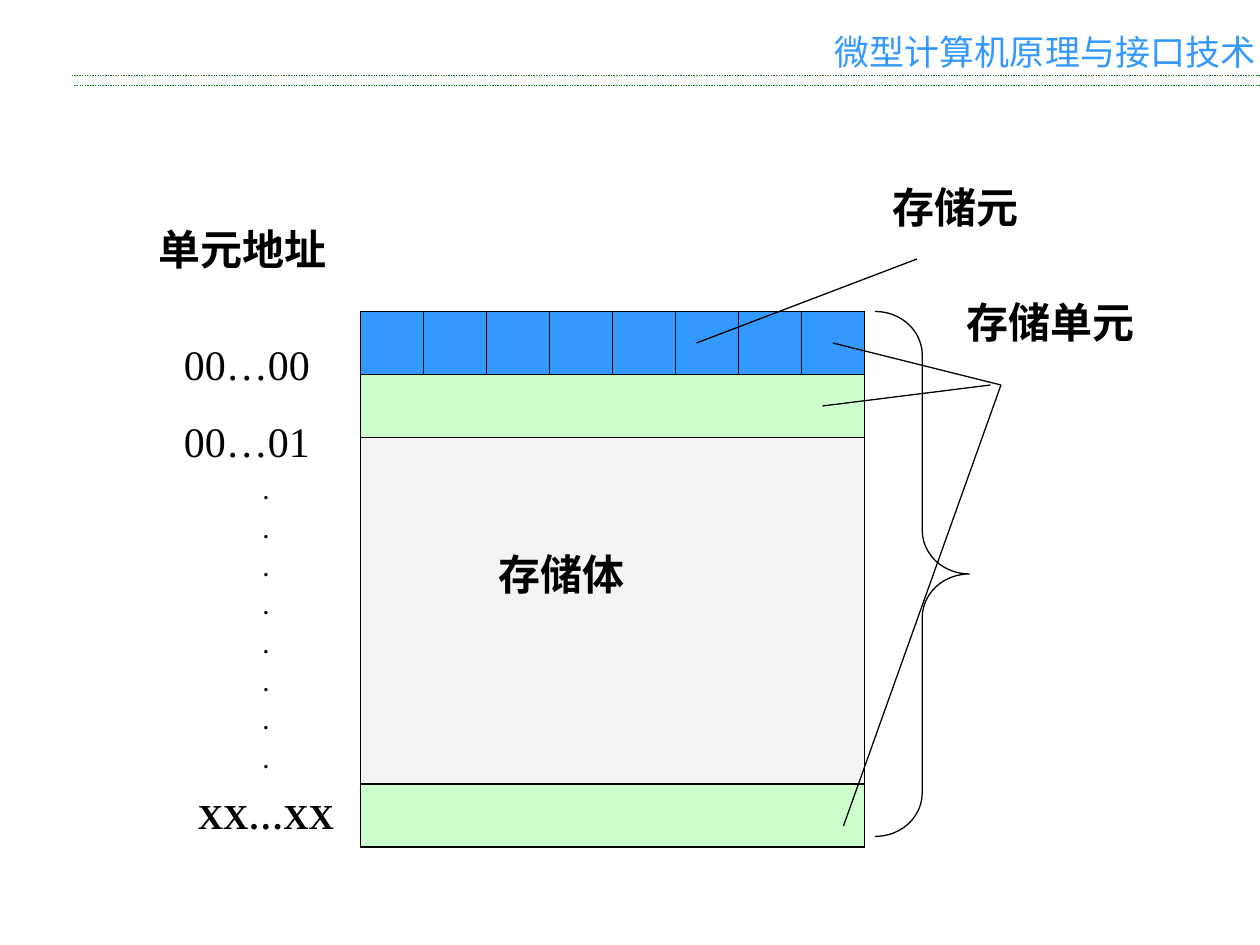
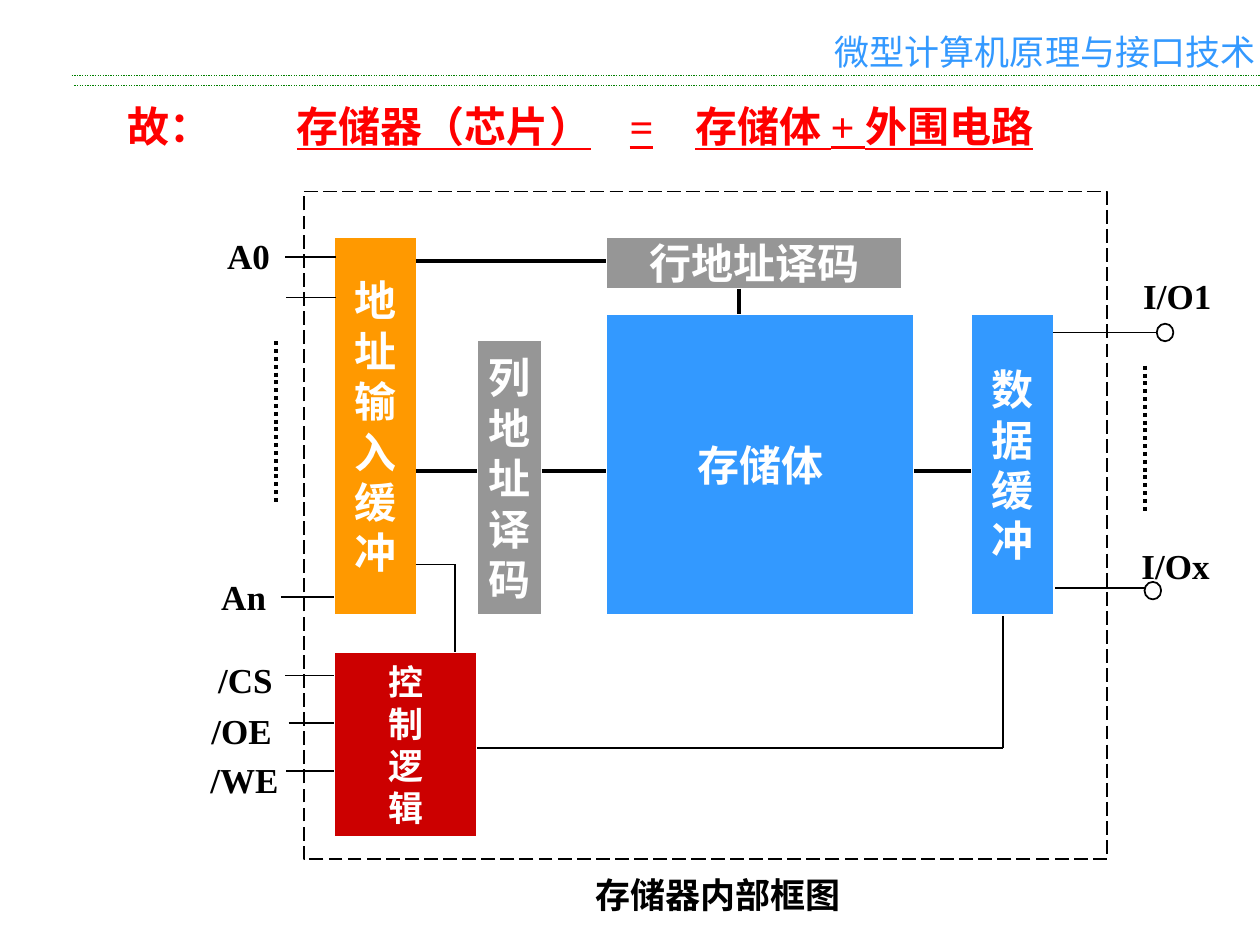
from pptx import Presentation
from pptx.dml.color import RGBColor
from pptx.enum.dml import MSO_LINE_DASH_STYLE as DASH
from pptx.enum.shapes import MSO_CONNECTOR, MSO_SHAPE as SHAPE
from pptx.enum.text import MSO_ANCHOR as ANCHOR, MSO_AUTO_SIZE, PP_ALIGN as ALIGN
from pptx.oxml import parse_xml
from pptx.oxml.ns import nsdecls
from pptx.util import Pt

COLORS = {
    "black": "000000", "white": "FFFFFF", "blue": "3399FF", "green": "CCFFCC",
    "body": "F4F4F4", "rule": "008000", "red": "FF0000", "gray": "969696",
    "orange": "FF9900", "control": "CC0000",
}
RGB = {name: RGBColor.from_string(value) for name, value in COLORS.items()}
LATIN, CJK = "Times New Roman", "Noto Sans CJK SC"
LINE_PITCH = 1.2


def add_line(s, x1, y1, x2, y2, width=1, color="black", dash=None):
    c = s.shapes.add_connector(MSO_CONNECTOR.STRAIGHT, Pt(x1), Pt(y1), Pt(x2), Pt(y2))
    c.line.color.rgb = RGB[color]
    c.line.width = Pt(width)
    if dash:
        c.line.dash_style = dash
    c._element.spPr.append(parse_xml(f"<a:effectLst {nsdecls('a')}/>"))


def fill_text(sp, paras, size=24, color="black", bold=True, name=LATIN,
              align=ALIGN.LEFT, anchor=ANCHOR.TOP, wrap=True):
    tf = sp.text_frame
    frame = {"word_wrap": wrap, "auto_size": MSO_AUTO_SIZE.NONE, "vertical_anchor": anchor,
             "margin_left": Pt(7.2), "margin_right": Pt(7.2),
             "margin_top": Pt(3.6), "margin_bottom": Pt(3.6)}
    for key, value in frame.items():
        setattr(tf, key, value)
    for i, runs in enumerate(paras):
        p = tf.paragraphs[0] if i == 0 else tf.add_paragraph()
        for key, value in {"alignment": align, "line_spacing": Pt(size * LINE_PITCH),
                           "space_before": Pt(0)}.items():
            setattr(p, key, value)
        for text in runs:
            r = p.add_run()
            r.text = text
            for key, value in {"size": Pt(size), "bold": bold, "name": name}.items():
                setattr(r.font, key, value)
            r.font.color.rgb = RGB[color]
    return tf


prs = Presentation()
prs.slide_width, prs.slide_height = Pt(720), Pt(540)
memory = prs.slides.add_slide(prs.slide_layouts[6])
chip = prs.slides.add_slide(prs.slide_layouts[5])

for s in (memory, chip):
    for x, y in ((42.5, 49), (41, 43)):
        add_line(s, x, y, 720, y, 0.75, "rule", DASH.ROUND_DOT)
    sp = s.shapes.add_textbox(Pt(496), Pt(14), Pt(202.5), Pt(20))
    fill_text(sp, [["微型计算机原理与接口技术"]], 20, "blue", False, CJK, ALIGN.CENTER, wrap=False)

s = memory
left, top, cell, bits = 206, 178, 36, 8
width, height = cell * bits, 306
rects = [(left, top, width, height, "body")]
rects += [(left + i * cell, top, cell, cell, "blue") for i in range(bits)]
rects += [(left, y, width, cell, "green") for y in (top + cell, top + height - cell)]
for x, y, w, h, fill in rects:
    sp = s.shapes.add_shape(SHAPE.RECTANGLE, Pt(x), Pt(y), Pt(w), Pt(h))
    sp.shadow.inherit = False
    sp.fill.solid()
    sp.fill.fore_color.rgb = RGB[fill]
    sp.line.color.rgb = RGB["black"]
    sp.line.width = Pt(0.75)

brace = s.shapes.add_shape(SHAPE.RIGHT_BRACE, Pt(500), Pt(top), Pt(54), Pt(300))
brace.shadow.inherit = False
brace.fill.background()
brace.line.color.rgb = RGB["black"]
brace.line.width = Pt(0.75)
brace.adjustments[0], brace.adjustments[1] = 0.46, 0.5

for x1, y1, x2, y2 in ((470, 232, 566, 220), (476, 196, 572, 220),
                       (482, 472, 572, 220), (398, 196, 524, 148)):
    add_line(s, x1, y1, x2, y2, 0.75)

for text, x, y, w in (("单元地址", 83.5, 124, 162), ("存储单元", 545, 166, 144),
                      ("存储元", 503, 100, 162), ("存储体", 278, 310, 180)):
    fill_text(s.shapes.add_textbox(Pt(x), Pt(y), Pt(w), Pt(36)), [[text]])

sp = s.shapes.add_textbox(Pt(98), Pt(190), Pt(108), Pt(292))
tf = fill_text(sp, [["00…00"], ["00…01"]] + [["."]] * 8 + [["XX…XX"]], bold=False)
tf.paragraphs[1].space_before = Pt(15)
for p in tf.paragraphs[2:]:
    size, gap = (12, 7.5) if p.text == "." else (20, 12.5)
    for key, value in {"alignment": ALIGN.CENTER, "space_before": Pt(gap),
                       "line_spacing": Pt(size * LINE_PITCH)}.items():
        setattr(p, key, value)
    for key, value in {"size": Pt(size), "bold": True}.items():
        setattr(p.runs[0].font, key, value)

s = chip
sp = s.shapes.title
sp.left, sp.top, sp.width, sp.height = Pt(65.5), Pt(54), Pt(591), Pt(36)
tf = fill_text(sp, [["故：\t", "存储器（芯片）\t=\t存储体 + 外围电路"]], color="red")
p = tf.paragraphs[0]
p.runs[1].font.underline = True
tabs = "".join(f'<a:tab pos="{Pt(x)}" algn="l"/>' for x in (97, 287, 324.5))
p._p.get_or_add_pPr().append(parse_xml(f"<a:tabLst {nsdecls('a')}>{tabs}</a:tabLst>"))

frame = s.shapes.add_shape(SHAPE.RECTANGLE, Pt(173.5), Pt(109.5), Pt(459), Pt(381.5))
frame.shadow.inherit = False
frame.fill.background()
frame.line.color.rgb = RGB["black"]
frame.line.width = Pt(1)
frame.line.dash_style = DASH.LONG_DASH

blocks = [
    (["存储体"], 346.5, 179.5, 176, 172, "blue", 24),
    ("列地址译码", 272.5, 194.5, 37, 157, "gray", 24),
    ("地址输入缓冲", 191, 135.5, 47, 216, "orange", 24),
    (["行地址译码"], 346.5, 135.5, 169, 29.5, "gray", 24),
    ("控制逻辑", 191, 372.5, 81.5, 106, "control", 20),
    ("数据缓冲", 555, 179.5, 47, 172, "blue", 24),
]
for lines, x, y, w, h, fill, size in blocks:
    sp = s.shapes.add_shape(SHAPE.RECTANGLE, Pt(x), Pt(y), Pt(w), Pt(h))
    sp.shadow.inherit = False
    sp.fill.solid()
    sp.fill.fore_color.rgb = RGB[fill]
    sp.line.color.rgb = RGB["white"]
    sp.line.width = Pt(1)
    fill_text(sp, [[text] for text in lines], size, "white", align=ALIGN.CENTER,
              anchor=ANCHOR.MIDDLE, wrap=False)

buses = [(238, 269, 272.5, 269), (309.5, 269, 346.5, 269), (238, 149, 346.5, 149),
         (422.5, 165, 422.5, 179.5), (522.5, 269, 555, 269)]
for x1, y1, x2, y2 in buses:
    add_line(s, x1, y1, x2, y2, 2.25)

wires = [(272.5, 427.5, 573, 427.5), (573, 427.5, 573, 352), (238, 322.5, 260, 322.5),
         (260, 322.5, 260, 372.5), (602, 190, 662, 190), (603, 336, 657, 336)]
wires += [(x, y, end, y) for x, y, end in (
    (163, 147, 192), (163.5, 170, 192), (160.5, 341, 191),
    (163, 386, 191), (165, 413, 191), (163.5, 440.5, 191))]
for x1, y1, x2, y2 in wires:
    add_line(s, x1, y1, x2, y2)

for x, y1, y2 in ((157.5, 195, 287), (654.5, 209, 293)):
    add_line(s, x, y1, x, y2, 2.25, dash=DASH.ROUND_DOT)

for x, y in ((661, 185), (654, 332.5)):
    sp = s.shapes.add_shape(SHAPE.OVAL, Pt(x), Pt(y), Pt(9.5), Pt(10))
    sp.shadow.inherit = False
    sp.fill.solid()
    sp.fill.fore_color.rgb = RGB["white"]
    sp.line.color.rgb = RGB["black"]
    sp.line.width = Pt(1)

labels = [("A0", 122.5, 130.5, 39), ("An", 119.5, 325.5, 39.5), ("/CS", 117.5, 373, 45.5),
          ("/OE", 113.5, 402, 49), ("/WE", 113, 430, 53.5), ("I/O1", 646, 153.5, 53.5),
          ("I/Ox", 645, 307.5, 53.5), ("存储器内部框图", 333, 495.5, 155)]
for text, x, y, w in labels:
    sp = s.shapes.add_textbox(Pt(x), Pt(y), Pt(w), Pt(31.5))
    fill_text(sp, [[text]], 20, align=ALIGN.CENTER, wrap=False)

prs.save("out.pptx")
